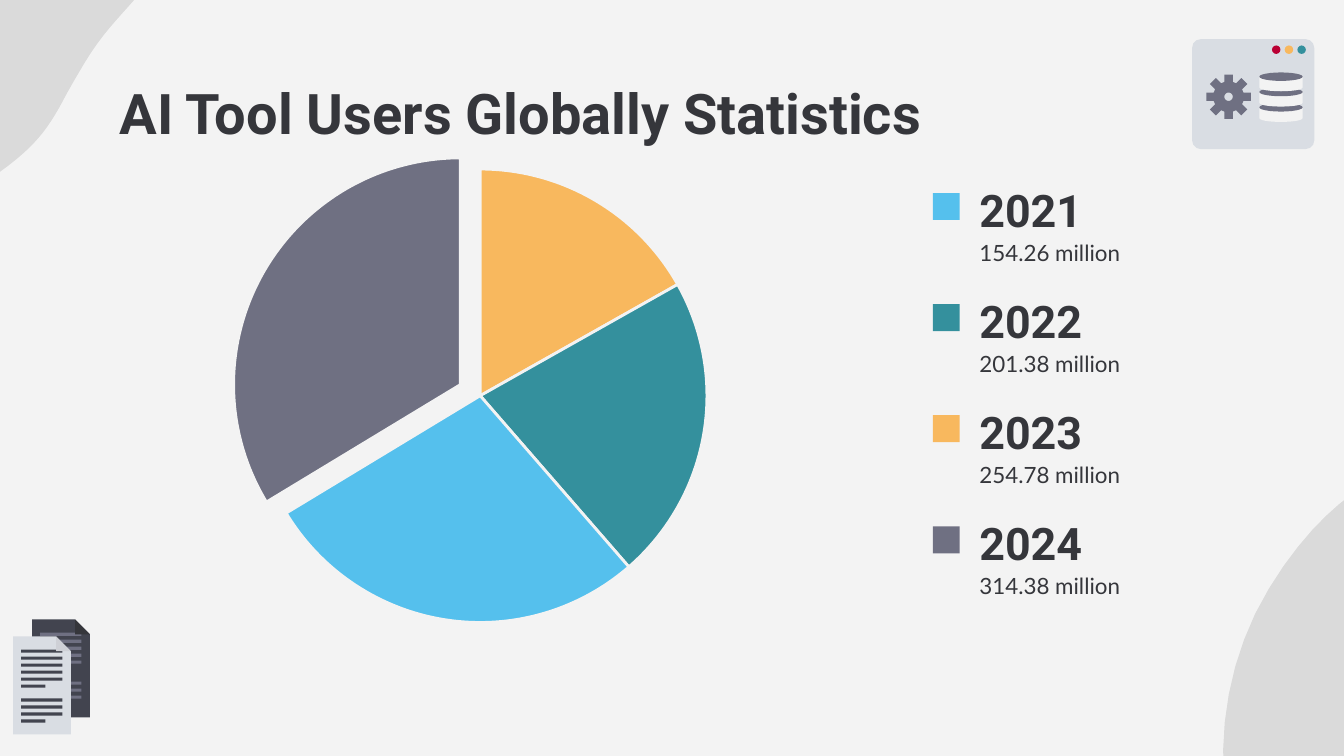
from dataclasses import dataclass
from math import cos, pi, sin

from lxml import etree
from pptx import Presentation
from pptx.chart.data import CategoryChartData
from pptx.dml.color import RGBColor
from pptx.enum.chart import XL_CHART_TYPE
from pptx.enum.shapes import MSO_SHAPE
from pptx.enum.text import MSO_ANCHOR
from pptx.oxml import parse_xml
from pptx.oxml.ns import nsdecls, qn
from pptx.util import Cm, Pt

PIE = XL_CHART_TYPE.PIE
RECT, ROUNDED, OVAL = MSO_SHAPE.RECTANGLE, MSO_SHAPE.ROUNDED_RECTANGLE, MSO_SHAPE.OVAL
TOP, BOTTOM = MSO_ANCHOR.TOP, MSO_ANCHOR.BOTTOM

Point = tuple[float, float]


@dataclass(frozen=True)
class Theme:
    paper: str = "F3F3F3"
    ink: str = "35363B"
    charcoal: str = "42444F"
    slate: str = "6F7082"
    mist: str = "D9DDE3"
    fold: str = "CED0D6"
    sky: str = "55C0ED"
    teal: str = "34909D"
    amber: str = "F8B85E"
    red: str = "BA0034"
    shade: str = "000000"
    heading_font: str = "Roboto"
    body_font: str = "Lato"
    chart_font: str = "Arial"
    title_size: int = 30
    year_size: int = 24
    value_size: int = 12
    chart_size: int = 10


THEME = Theme()


@dataclass(frozen=True)
class YearUsers:
    year: str
    users: str
    color: str


@dataclass(frozen=True)
class Slice:
    share: int
    color: str
    explosion: int = 0


@dataclass(frozen=True)
class Page:
    left: float
    top: float
    color: str
    fold: str
    full_line: str
    short_line: str


YEARS = [
    YearUsers("2021", "154.26 million", THEME.sky),
    YearUsers("2022", "201.38 million", THEME.teal),
    YearUsers("2023", "254.78 million", THEME.amber),
    YearUsers("2024", "314.38 million", THEME.slate),
]
SLICES = [Slice(17, THEME.amber), Slice(22, THEME.teal),
          Slice(28, THEME.sky), Slice(34, THEME.slate, 10)]
PAGES = [
    Page(0.61, 11.71, THEME.charcoal, THEME.ink, THEME.slate, THEME.charcoal),
    Page(0.25, 12.03, THEME.mist, THEME.fold, THEME.charcoal, THEME.charcoal),
]

# Each outline: a start point, then two control points and an end point per curve.
CORNER_BLOBS: list[list[Point]] = [
    [(27.31, 8.84),
     (27.76, 8.89), (28.35, 9.07), (28.88, 9.6),
     (30.07, 10.77), (30.53, 12.9), (30.94, 14.61),
     (31.34, 16.31), (30.86, 17.96), (29.79, 18.64),
     (29.51, 18.8), (29.29, 18.85), (29.06, 18.82),
     (28.37, 18.77), (27.79, 18.06), (26.75, 17.91),
     (26.5, 17.87), (26.1, 17.84), (25.78, 17.81),
     (25.07, 17.75), (24.66, 17.63), (23.88, 16.76),
     (22.83, 15.54), (22.86, 12.95), (23.98, 11.13),
     (25.07, 9.32), (26.26, 8.94), (26.26, 8.94),
     (26.26, 8.94), (26.7, 8.79), (27.31, 8.84)],
    [(-2.24, -0.58),
     (-2.03, -0.97), (-1.73, -1.37), (-1.3, -1.7),
     (-0.3, -2.49), (0.81, -2.51), (1.73, -2.57),
     (2.64, -2.64), (3.18, -2.01), (3.07, -1.07),
     (3.05, -0.84), (2.97, -0.64), (2.87, -0.46),
     (2.59, 0.05), (2.06, 0.41), (1.6, 1.19),
     (1.52, 1.32), (1.24, 1.8), (1.19, 1.91),
     (0.89, 2.46), (0.66, 2.77), (0, 3.25),
     (-0.94, 3.89), (-2.08, 3.45), (-2.46, 2.34),
     (-2.87, 1.19), (-2.57, 0.23), (-2.57, 0.23),
     (-2.57, 0.23), (-2.46, -0.15), (-2.24, -0.58)],
]


def flatten(curves: list[Point], steps: int = 12) -> list[Point]:
    """Turn a chain of cubic curves into points along it."""
    points = [curves[0]]
    for start in range(0, len(curves) - 1, 3):
        a, b, c, d = curves[start:start + 4]
        for step in range(1, steps + 1):
            t = step / steps
            u = 1 - t
            points.append(tuple(
                u**3 * a[i] + 3 * u * u * t * b[i] + 3 * u * t * t * c[i] + t**3 * d[i]
                for i in (0, 1)))
    return points


def paint(shape, color: str) -> None:
    shape.shadow.inherit = False
    shape.fill.solid()
    shape.fill.fore_color.rgb = RGBColor.from_string(color)
    shape.line.fill.background()


def add_outline(shapes, contours: list[list[Point]], color: str):
    """Add one filled freeform; contours after the first cut holes."""
    first, *holes = [[(Cm(x), Cm(y)) for x, y in contour] for contour in contours]
    builder = shapes.build_freeform(*first[0])
    builder.add_line_segments(first[1:], close=True)
    for hole in holes:
        builder.move_to(*hole[0])
        builder.add_line_segments(hole[1:], close=True)
    outline = builder.convert_to_shape()
    paint(outline, color)
    return outline


def add_preset(shapes, kind, left: float, top: float, width: float, height: float, color: str):
    preset = shapes.add_shape(kind, Cm(left), Cm(top), Cm(width), Cm(height))
    paint(preset, color)
    return preset


def add_text(shapes, text: str, left: float, top: float, width: float, height: float,
             font: str, size: int, bold: bool = False, anchor=TOP) -> None:
    frame = shapes.add_textbox(Cm(left), Cm(top), Cm(width), Cm(height)).text_frame
    frame.word_wrap = True
    frame.vertical_anchor = anchor
    frame.margin_left = frame.margin_right = frame.margin_top = frame.margin_bottom = Cm(0.25)
    run = frame.paragraphs[0].add_run()
    run.text = text
    run.font.name, run.font.size, run.font.bold = font, Pt(size), bold
    run.font.color.rgb = RGBColor.from_string(THEME.ink)


def add_blob(shapes, curves: list[Point]) -> None:
    blob = add_outline(shapes, [flatten(curves)], THEME.shade)
    tint = blob.fill._xPr.find(f"{qn('a:solidFill')}/{qn('a:srgbClr')}")
    etree.SubElement(tint, qn("a:alpha"), val="10000")


def add_page(shapes, page: Page) -> None:
    x, y, width, height, fold = page.left, page.top, 1.09, 1.85, 0.28
    right, bottom, crease = x + width, y + height, x + width - fold
    add_outline(shapes, [[(x, y), (crease, y), (right, y + fold), (right, bottom), (x, bottom)]],
                page.color)
    pitch = 1.32 / 10
    for row in (0, 1, 2, 3, 4, 5, 7, 8, 9, 10):
        short = row in (5, 10)
        add_preset(shapes, RECT, x + 0.15, y + 0.25 + row * pitch, 0.46 if short else 0.78, 0.06,
                   page.short_line if short else page.full_line)
    add_outline(shapes, [[(crease, y), (right, y + fold), (crease, y + fold)]], page.fold)


def add_gear(shapes, x: float, y: float) -> None:
    teeth, half, root, tip, hole = 8, 0.08, 0.28, 0.42, 0.08
    rim = []
    for tooth in range(teeth):
        a = 2 * pi * tooth / teeth
        rim += [(x + r * cos(a) - s * sin(a), y + r * sin(a) + s * cos(a))
                for r, s in ((root, -half), (tip, -half), (tip, half), (root, half))]
    hub = [(x + hole * cos(-pi * i / 12), y + hole * sin(-pi * i / 12)) for i in range(24)]
    add_outline(shapes, [rim, hub], THEME.slate)


def add_database(shapes, left: float, width: float) -> None:
    for y in (2.03, 1.74, 1.45):
        base, right = y + 0.2, left + width
        bowl = flatten([(left, base), (left, base + 0.1), (right, base + 0.1), (right, base)])
        add_outline(shapes, [[(left, y), *bowl, (right, y)]], THEME.paper)
        add_preset(shapes, OVAL, left, y - 0.08, width, 0.16, THEME.slate)


def add_window_icon(shapes) -> None:
    add_preset(shapes, ROUNDED, 22.53, 0.74, 2.31, 2.08, THEME.mist).adjustments[0] = 0.08
    for i, color in enumerate((THEME.red, THEME.amber, THEME.teal)):
        add_preset(shapes, OVAL, 24.04 + i * 0.24, 0.86, 0.16, 0.16, color)
    add_gear(shapes, 23.22, 1.83)
    add_database(shapes, 23.8, 0.82)


def add_pie(shapes) -> None:
    data = CategoryChartData()
    data.categories = [str(i + 1) for i in range(len(SLICES))]
    data.add_series("Series 1", [part.share for part in SLICES])
    chart = shapes.add_chart(PIE, Cm(0.69), Cm(1.73), Cm(16.94), Cm(11.28), data).chart
    chart.has_title = chart.has_legend = False
    chart.font.name, chart.font.size = THEME.chart_font, Pt(THEME.chart_size)
    chart.font.color.rgb = RGBColor.from_string(THEME.ink)
    plot = chart.plots[0]
    plot.vary_by_categories = True
    for i, part in enumerate(SLICES):
        look = plot.series[0].points[i].format
        look.fill.solid()
        look.fill.fore_color.rgb = RGBColor.from_string(part.color)
        look.line.color.rgb = RGBColor.from_string(THEME.paper)
        look.line.width = Pt(1.5)
        if part.explosion:
            properties = plot.series[0]._element.findall(qn("c:dPt"))[i].find(qn("c:spPr"))
            properties.addprevious(parse_xml(
                f'<c:explosion {nsdecls("c")} val="{part.explosion}"/>'))
    area = chart._chartSpace.chart.plotArea
    for layout in area.findall(qn("c:layout")):
        area.remove(layout)
    area.insert(0, parse_xml(
        f'<c:layout {nsdecls("c")}><c:manualLayout><c:layoutTarget val="inner"/>'
        '<c:xMode val="edge"/><c:yMode val="edge"/><c:x val="0.02"/><c:y val="0.13"/>'
        '<c:w val="0.95"/><c:h val="0.76"/></c:manualLayout></c:layout>'))


def add_legend(shapes) -> None:
    for i, entry in enumerate(YEARS):
        top = 3.65 + i * 2.1
        add_text(shapes, entry.year, 18.26, top + 0.08, 4.65, 0.99,
                 THEME.heading_font, THEME.year_size, True, BOTTOM)
        add_text(shapes, entry.users, 18.26, top + 0.62, 4.65, 0.99,
                 THEME.body_font, THEME.value_size)
        add_preset(shapes, RECT, 17.63, top, 0.51, 0.51, entry.color)


def main() -> None:
    deck = Presentation()
    deck.slide_width, deck.slide_height = Cm(25.4), Cm(14.29)
    slide = deck.slides.add_slide(deck.slide_layouts[6])
    slide.background.fill.solid()
    slide.background.fill.fore_color.rgb = RGBColor.from_string(THEME.paper)
    shapes = slide.shapes
    for curves in CORNER_BLOBS:
        add_blob(shapes, curves)
    documents = shapes.add_group_shape().shapes
    for page in PAGES:
        add_page(documents, page)
    add_window_icon(shapes.add_group_shape().shapes)
    add_text(shapes, "AI Tool Users Globally Statistics", 2.01, 1.24, 21.41, 1.6,
             THEME.heading_font, THEME.title_size, True)
    add_legend(shapes)
    add_pie(shapes)
    deck.save("out.pptx")


if __name__ == "__main__":
    main()
